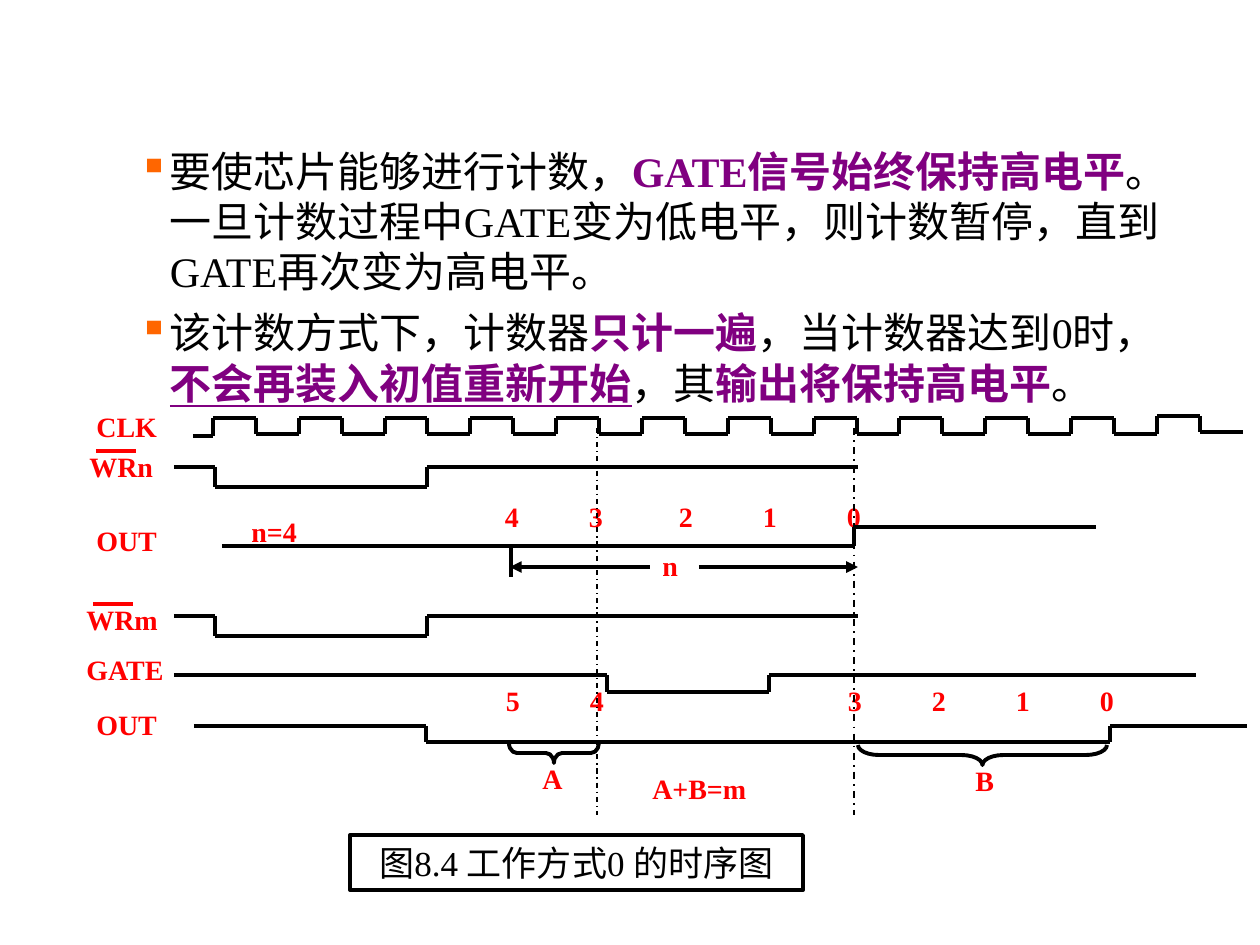
import collections
import itertools

import lxml.etree
import pptx
import pptx.dml.color
import pptx.enum.dml
import pptx.enum.shapes
import pptx.enum.text
import pptx.oxml
import pptx.oxml.ns
import pptx.util

Box = collections.namedtuple("Box", "left top width height")

PX = 914400 / 126
FONT = "Times New Roman"
BLACK, RED, PURPLE, ORANGE = "000000", "FF0000", "800080", "FF6600"


def px(length):
    """Turn a length in px into EMU."""
    return pptx.util.Emu(round(length * PX))


def colour(value):
    """Turn a hex string into a colour."""
    return pptx.dml.color.RGBColor.from_string(value)


def inside(box, left, top, width, height):
    """Return the box that lies at an offset within another box."""
    return Box(box.left + left, box.top + top, width, height)


def emu(box):
    """Return the four lengths of a box in EMU."""
    return [px(length) for length in box]


def style(span, size, value, bold=False, underline=False):
    """Set the font of a run."""
    span.font.name = FONT
    span.font.size = pptx.util.Pt(size)
    span.font.bold = bold
    span.font.underline = underline
    span.font.color.rgb = colour(value)


def label(page, box, text, centred=False):
    """Write a bold red label."""
    frame = page.shapes.add_textbox(*emu(box)).text_frame
    frame.word_wrap = True
    frame.text = text
    para = frame.paragraphs[0]
    if centred:
        para.alignment = pptx.enum.text.PP_ALIGN.CENTER
    style(para.runs[0], 16, RED, bold=True)


def line(page, box, start, end, value=BLACK, width=2.25, dash=None, arrow=False):
    """Draw a straight line between two points of a box."""
    (x1, y1), (x2, y2) = start, end
    connector = page.shapes.add_connector(
        pptx.enum.shapes.MSO_CONNECTOR.STRAIGHT,
        px(box.left + x1), px(box.top + y1), px(box.left + x2), px(box.top + y2))
    connector.line.color.rgb = colour(value)
    connector.line.width = pptx.util.Pt(width)
    if dash:
        connector.line.dash_style = dash
    properties = connector.line._get_or_add_ln()
    if arrow:
        tail = lxml.etree.SubElement(properties, pptx.oxml.ns.qn("a:tailEnd"))
        tail.set("type", "triangle")
    lxml.etree.SubElement(connector._element.spPr, pptx.oxml.ns.qn("a:effectLst"))


def trace(page, box, points):
    """Draw a signal through a list of points."""
    for start, end in itertools.pairwise(points):
        line(page, box, start, end)


def counts(page, box, values):
    """Write count values centred on their x positions."""
    for text, x in values:
        label(page, inside(box, x - 30, 0, 60, 64), text, centred=True)


def brace(page, box, left, top, length, radius):
    """Draw a horizontal brace pointing down."""
    depth = 20
    upright = inside(box, left + (length - depth) / 2, top + (depth - length) / 2,
                     depth, length)
    shape = page.shapes.add_shape(pptx.enum.shapes.MSO_SHAPE.LEFT_BRACE, *emu(upright))
    shape.rotation = 270
    shape.adjustments[0] = radius / depth
    shape.shadow.inherit = False
    shape.fill.background()
    shape.line.color.rgb = colour(BLACK)
    shape.line.width = pptx.util.Pt(2.25)


def clock_row(page, box):
    """Draw the CLK row with its twelve pulses."""
    label(page, inside(box, 10, 0, 120, 64), "CLK")
    points = [(119, 33), (139, 33)]
    for half in range(24):
        lift = 2 if half >= 22 else 0
        y = (31 if half % 2 else 15) - lift
        points += [(139 + round(half * 42.9), y), (139 + round((half + 1) * 42.9), y)]
    trace(page, box, points)


def write_row(page, box, text, label_left, label_top):
    """Draw a write signal with an overlined label."""
    label(page, inside(box, label_left, label_top, 120, 64), text)
    bar = label_top + 8
    line(page, box, (label_left + 19, bar), (label_left + 59, bar), RED)
    trace(page, box, [(100, 24), (141, 24), (141, 44), (353, 44), (353, 24), (784, 24)])


def full_count_row(page, box):
    """Draw the OUT row of an uninterrupted count."""
    label(page, inside(box, 10, 24, 120, 64), "OUT")
    label(page, inside(box, 165, 15, 144, 64), "n=4")
    counts(page, box, zip("43210", (438, 522, 612, 696, 780)))
    trace(page, box, [(148, 53), (780, 53), (780, 34), (1022, 34)])
    line(page, box, (437, 54), (437, 84))
    line(page, box, (576, 74), (436, 74), arrow=True)
    line(page, box, (625, 74), (784, 74), arrow=True)
    label(page, inside(box, 576, 49, 69, 64), "n")


def gate_row(page, box):
    """Draw the GATE row with its low interval."""
    label(page, inside(box, 0, 0, 120, 64), "GATE")
    trace(page, box, [(100, 29), (533, 29), (533, 46), (695, 46), (695, 29), (1122, 29)])


def paused_count_row(page, box):
    """Draw the OUT row of a count paused by GATE."""
    label(page, inside(box, 10, 24, 120, 64), "OUT")
    counts(page, box, zip("543210", (439, 523, 781, 865, 949, 1033)))
    trace(page, box, [(120, 49), (352, 49), (352, 65), (1036, 65), (1036, 49), (1173, 49)])
    brace(page, box, 435, 66, 90, 8)
    brace(page, box, 784, 68, 249, 21)
    label(page, inside(box, 456, 78, 69, 64), "A")
    label(page, inside(box, 889, 80, 69, 64), "B")
    label(page, inside(box, 566, 88, 179, 64), "A+B=m")


def guides(page, box):
    """Draw the dash-dot time guides on both sides of a box."""
    dash = pptx.enum.dml.MSO_LINE.DASH_DOT
    for x, width in ((0, 0.75), (box.width, 1)):
        line(page, box, (x, 0), (x, box.height), width=width, dash=dash)


def caption(page, box, text):
    """Write the framed figure caption."""
    shape = page.shapes.add_shape(pptx.enum.shapes.MSO_SHAPE.RECTANGLE, *emu(box))
    shape.shadow.inherit = False
    shape.fill.background()
    shape.line.color.rgb = colour(BLACK)
    shape.line.width = pptx.util.Pt(2.25)
    frame = shape.text_frame
    frame.word_wrap = False
    frame.text = text
    frame.paragraphs[0].alignment = pptx.enum.text.PP_ALIGN.CENTER
    style(frame.paragraphs[0].runs[0], 20, BLACK)


def bullet_list(page, box, items):
    """Write bulleted paragraphs of plain, strong and underlined spans."""
    frame = page.shapes.add_textbox(*emu(box)).text_frame
    frame.word_wrap = True
    for index, spans in enumerate(items):
        para = frame.add_paragraph() if index else frame.paragraphs[0]
        properties = para._p.get_or_add_pPr()
        properties.set("marL", str(pptx.util.Inches(1.25)))
        properties.set("indent", str(-pptx.util.Inches(0.25)))
        tint = lxml.etree.SubElement(properties, pptx.oxml.ns.qn("a:buClr"))
        lxml.etree.SubElement(tint, pptx.oxml.ns.qn("a:srgbClr")).set("val", ORANGE)
        lxml.etree.SubElement(properties, pptx.oxml.ns.qn("a:buChar")).set("char", "▪")
        if index:
            para.space_before = pptx.util.Pt(6)
        for text, kind in spans:
            span = para.add_run()
            span.text = text
            strong = kind != "plain"
            style(span, 24, PURPLE if strong else BLACK, strong, kind == "underlined")


def main():
    """Build the deck and save it."""
    deck = pptx.Presentation()
    deck.slide_width, deck.slide_height = px(1260), px(945)
    page = deck.slides.add_slide(deck.slide_layouts[6])
    clock_row(page, Box(74, 403, 1170, 40))
    write_row(page, Box(74, 443, 784, 50), "WRn", 3, 0)
    full_count_row(page, Box(74, 493, 1022, 84))
    write_row(page, Box(74, 592, 784, 50), "WRm", 0, 4)
    gate_row(page, Box(74, 646, 1122, 46))
    paused_count_row(page, Box(74, 677, 1173, 152))
    guides(page, Box(597, 428, 257, 387))
    caption(page, Box(350, 835, 453, 55), "图8.4 工作方式0 的时序图")
    bullet_list(page, Box(0, 139, 1211, 276), [
        [("要使芯片能够进行计数，", "plain"), ("GATE信号始终保持高电平", "strong"),
         ("。一旦计数过程中GATE变为低电平，则计数暂停，直到GATE再次变为高电平。", "plain")],
        [("该计数方式下，计数器", "plain"), ("只计一遍", "strong"),
         ("，当计数器达到0时，", "plain"), ("不会再装入初值重新开始", "underlined"),
         ("，其", "plain"), ("输出将保持高电平", "strong"), ("。", "plain")],
    ])
    deck.save("out.pptx")


if __name__ == "__main__":
    main()
